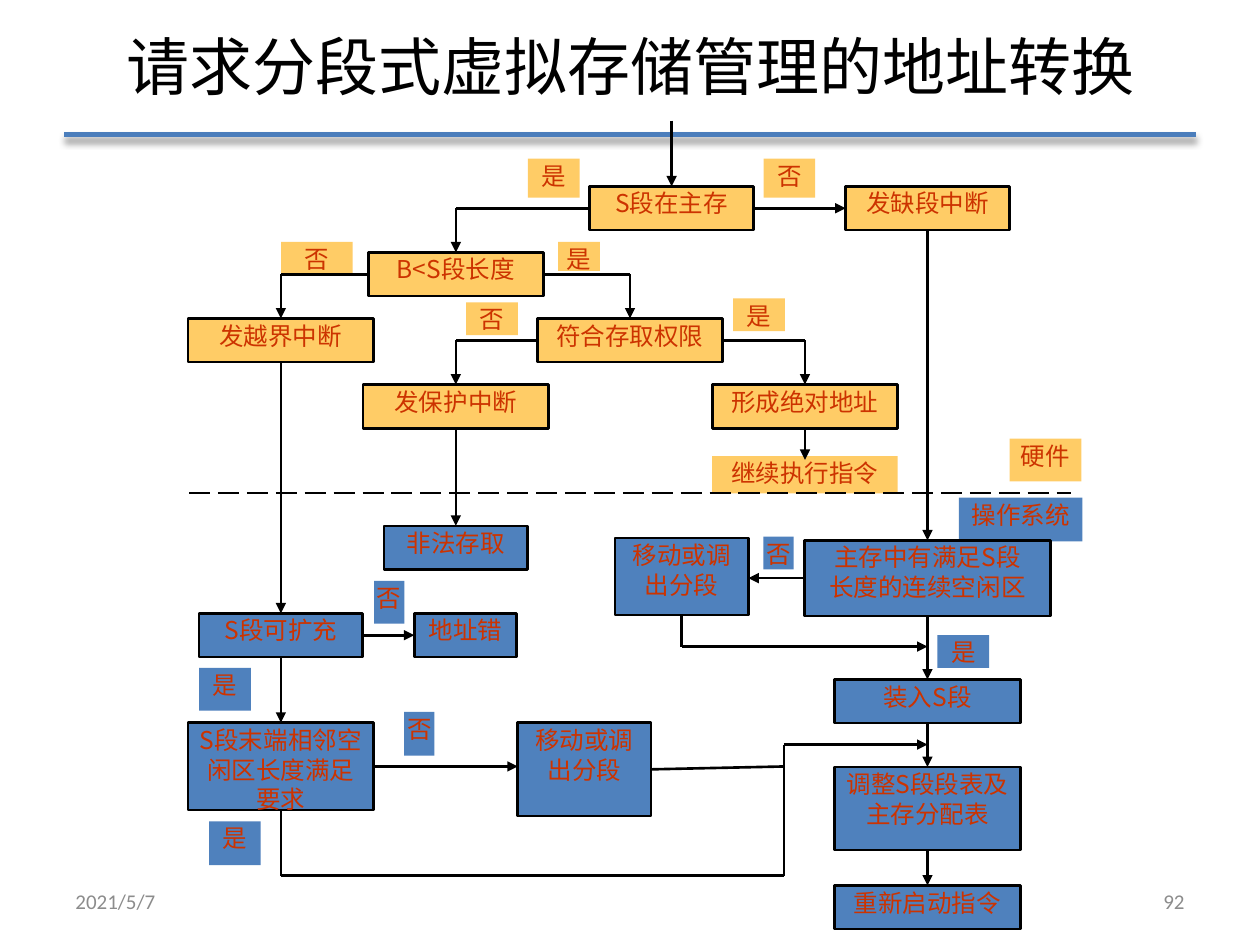
from itertools import pairwise
from lxml.etree import SubElement
from pptx import Presentation
from pptx.dml.color import RGBColor
from pptx.enum.dml import MSO_LINE
from pptx.enum.shapes import MSO_CONNECTOR, MSO_SHAPE
from pptx.enum.text import MSO_ANCHOR, PP_ALIGN
from pptx.oxml.ns import qn
from pptx.util import Pt

THEME = dict(
    cjk="Noto Sans CJK JP", latin="Calibri",
    hard="FFCC66", soft="4F81BD", text="CC3300", ink="000000",
    rule="4B7EBC", foot="8C8C8C",
    title=36, body=14, small=12, lead=17, stroke=1.5, thick=3,
)

TITLE = "请求分段式虚拟存储管理的地址转换"
FOOT = [("2021/5/7", 36, PP_ALIGN.LEFT), ("92", 516, PP_ALIGN.RIGHT)]

# Column centres and row tops of the flow chart
A, B, C, D, E = 160.5, 260.5, 360, 460, 530
ENTRY, MERGE, SWAP = 383.8, 448, 389.5
HIGH = 25
ROWS = [106.5 + 37.75 * n for n in range(4)]

# key: text, centre x, top, width, height, layer
NODES = {
    "main": ("S段在主存", ENTRY, ROWS[0], 93.6, HIGH, "hard"),
    "miss": ("发缺段中断", E, ROWS[0], 93.6, HIGH, "hard"),
    "size": ("B<S段长度", B, ROWS[1], 100, HIGH, "hard"),
    "over": ("发越界中断", A, ROWS[2], 106, HIGH, "hard"),
    "right": ("符合存取权限", C, ROWS[2], 106, HIGH, "hard"),
    "guard": ("发保护中断", B, ROWS[3], 106, HIGH, "hard"),
    "real": ("形成绝对地址", D, ROWS[3], 106, HIGH, "hard"),
    "bad": ("非法存取", B, 300.5, 82, HIGH, "soft"),
    "swap": ("移动或调\n出分段", SWAP, 307.5, 76.3, 44, "soft"),
    "free": ("主存中有满足S段\n长度的连续空闲区", E, 308.8, 140.4, 43.2, "soft"),
    "grow": ("S段可扩充", A, 350.5, 93.6, HIGH, "soft"),
    "fault": ("地址错", 266, 350.5, 58.5, HIGH, "soft"),
    "load": ("装入S段", E, 388.3, 106, HIGH, "soft"),
    "next": ("S段末端相邻空\n闲区长度满足\n要求", A, 413, 106, 50, "soft"),
    "shift": ("移动或调\n出分段", 334, 413, 76.3, 53.3, "soft"),
    "table": ("调整S段段表及主存分配表", E, 438.3, 106, 47.5, "soft"),
    "again": ("重新启动指令", E, 506, 106, HIGH, "soft"),
}

# text, left, top, width, height, layer
LABELS = [
    ("否", 436.3, 90.7, 29.5, 22.3, "hard"),
    ("是", 301.7, 90.7, 29.5, 22.3, "hard"),
    ("是", 319, 138.2, 23.8, 16.6, "hard"),
    ("否", 160.6, 138.2, 41, 18.7, "hard"),
    ("是", 419, 170.6, 29.5, 18.7, "hard"),
    ("否", 266.4, 172.8, 29.5, 18.7, "hard"),
    ("继续执行指令", 407, 260.6, 106, 21.4, "hard"),
    ("硬件", 577, 250.6, 41, 24.5, "hard"),
    ("操作系统", 547.9, 284.4, 70.6, HIGH, "soft"),
    ("否", 436.3, 306.7, 17.3, 18.7, "soft"),
    ("否", 213.8, 332, 17.3, 24.5, "soft"),
    ("是", 535.7, 363, 29.5, 18.7, "soft"),
    ("是", 113.8, 381.6, 29.5, 24.5, "soft"),
    ("否", 231, 406.8, 17.3, HIGH, "soft"),
    ("是", 119.5, 469.4, 29.5, HIGH, "soft"),
]

# from, side left, to
LINKS = [
    ("main", "right", "miss"), ("main", "left", "size"),
    ("size", "left", "over"), ("size", "right", "right"),
    ("right", "left", "guard"), ("right", "right", "real"),
    ("miss", "base", "free"), ("over", "base", "grow"),
    ("guard", "base", "bad"), ("free", "left", "swap"),
    ("grow", "right", "fault"), ("grow", "base", "next"),
    ("next", "right", "shift"), ("free", "base", "load"),
    ("load", "base", "table"), ("table", "base", "again"),
]


def fmt(obj, **vals):
    for key, val in vals.items():
        setattr(obj, key, val)


def rgb(name):
    return RGBColor.from_string(THEME[name])


def write(shape, text, size, color, face="cjk", align=PP_ALIGN.CENTER,
          lead=None, **box):
    frame = shape.text_frame
    frame.text = text
    fmt(frame, word_wrap=True, **box)
    for para in frame.paragraphs:
        fmt(para, alignment=align, line_spacing=lead)
        for run in para.runs:
            fmt(run.font, name=THEME[face], size=Pt(THEME[size]), bold=False)
            run.font.color.rgb = rgb(color)
            SubElement(run.font._element, qn("a:ea"), typeface=THEME[face])


def block(text, left, top, wide, high, layer, edge):
    shape = slide.shapes.add_shape(
        MSO_SHAPE.RECTANGLE, Pt(left), Pt(top), Pt(wide), Pt(high))
    shape.shadow.inherit = False
    shape.fill.solid()
    shape.fill.fore_color.rgb = rgb(layer)
    if edge:
        shape.line.color.rgb = rgb("ink")
        shape.line.width = Pt(THEME["stroke"])
    else:
        shape.line.fill.background()
    write(shape, text, "body", "text", lead=Pt(THEME["lead"]),
          vertical_anchor=MSO_ANCHOR.TOP, margin_left=0, margin_right=0,
          margin_top=Pt(1), margin_bottom=0)


def stroke(start, end, color="ink", width="stroke", arrow=False):
    """Draw one straight line; return it with its effect list."""
    line = slide.shapes.add_connector(
        MSO_CONNECTOR.STRAIGHT, *map(Pt, (*start, *end)))
    line.line.color.rgb = rgb(color)
    line.line.width = Pt(THEME[width])
    props = line._element.spPr
    if arrow:
        SubElement(props.find(qn("a:ln")), qn("a:tailEnd"), type="triangle")
    return line, SubElement(props, qn("a:effectLst"))


def path(*points, arrow=True):
    """Join points with lines, the arrowhead on the last one."""
    for start, end in pairwise(points):
        stroke(start, end, arrow=arrow and end == points[-1])


def port(key, side):
    _, mid, top, wide, high, _ = NODES[key]
    return {"left": (mid - wide / 2, top + high / 2),
            "right": (mid + wide / 2, top + high / 2),
            "top": (mid, top), "base": (mid, top + high)}[side]


def link(key, side, goal):
    start = port(key, side)
    _, mid, top, _, high, _ = NODES[goal]
    if side == "base":
        path(start, port(goal, "top"))
    elif top <= start[1] <= top + high:
        other = "left" if side == "right" else "right"
        path(start, (port(goal, other)[0], start[1]))
    else:
        path(start, (mid, start[1]), (mid, top))


deck = Presentation()
fmt(deck, slide_width=Pt(720), slide_height=Pt(540))
slide = deck.slides.add_slide(deck.slide_layouts[5])

_, glow = stroke((36.7, 77), (683.3, 77), "rule", "thick")
shade = SubElement(glow, qn("a:outerShdw"), blurRad=str(Pt(4)),
                   dist=str(Pt(3)), dir="5400000", rotWithShape="0")
tint = SubElement(shade, qn("a:srgbClr"), val=THEME["ink"])
SubElement(tint, qn("a:alpha"), val="40000")

title = slide.shapes.title
fmt(title, left=Pt(36), top=Pt(-2), width=Pt(648), height=Pt(79))
write(title, TITLE, "title", "ink", vertical_anchor=MSO_ANCHOR.MIDDLE)

for text, left, align in FOOT:
    box = slide.shapes.add_textbox(Pt(left), Pt(500.5), Pt(168), Pt(28.8))
    write(box, text, "small", "foot", "latin", align,
          vertical_anchor=MSO_ANCHOR.MIDDLE)

for label in LABELS:
    block(*label, edge=False)
for text, mid, top, wide, high, layer in NODES.values():
    block(text, mid - wide / 2, top, wide, high, layer, edge=True)

split, _ = stroke((108, 281.7), (612, 281.7))
split.line.dash_style = MSO_LINE.LONG_DASH

for item in LINKS:
    link(*item)
path((ENTRY, 69), port("main", "top"))
path(port("real", "base"), (D, 262.8))
path(port("swap", "base"), (SWAP, 369.5), (E, 369.5))
path(port("next", "base"), (A, 500.4), (MERGE, 500.4),
     (MERGE, 425.5), (E, 425.5))
path(port("shift", "right"), (MERGE, 438), arrow=False)

deck.save("out.pptx")
